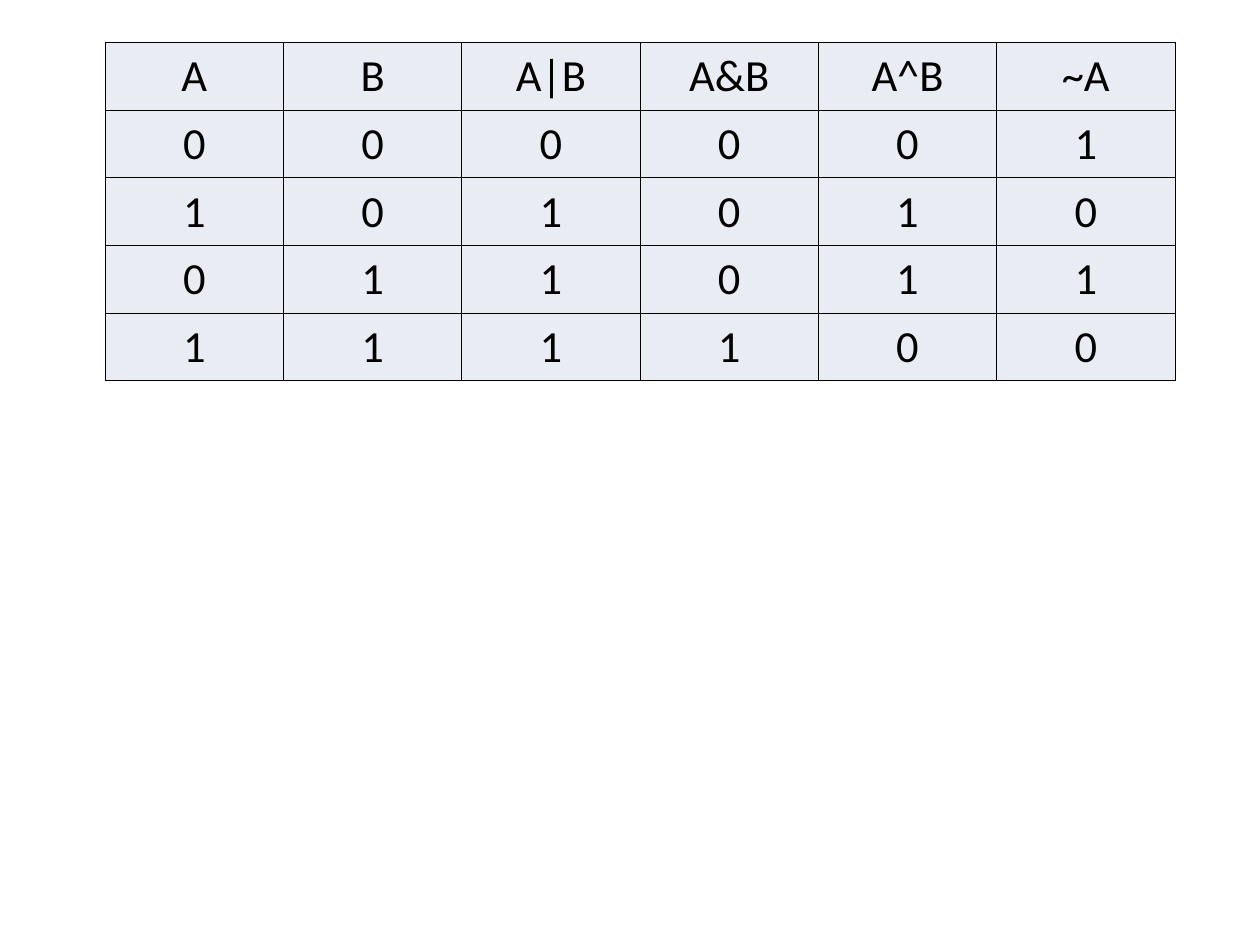
from dataclasses import dataclass

from lxml.etree import SubElement as Sub
from pptx import Presentation
from pptx.dml.color import RGBColor as RGB
from pptx.enum.text import MSO_ANCHOR as Anchor, PP_ALIGN as Align
from pptx.oxml.ns import qn
from pptx.util import Cm, Inches, Pt


@dataclass(frozen=True)
class Theme:
    font: str = "Calibri"
    size: float = 28
    ink: str = "000000"
    fill: str = "E9ECF3"
    line: float = 0.45


THEME = Theme()

ROWS = [
    ["A", "B", "A|B", "A&B", "A^B", "~A"],
    ["0", "0", "0", "0", "0", "1"],
    ["1", "0", "1", "0", "1", "0"],
    ["0", "1", "1", "0", "1", "1"],
    ["1", "1", "1", "1", "0", "0"],
]


def add_edges(cell):
    props = cell._tc.get_or_add_tcPr()
    for side in ("lnL", "lnR", "lnT", "lnB"):
        edge = Sub(props, qn(f"a:{side}"), w=str(int(Pt(THEME.line))))
        solid = Sub(edge, qn("a:solidFill"))
        Sub(solid, qn("a:srgbClr"), val=THEME.ink)


def style_cell(cell, text):
    # Borders go before the fill in the cell's XML
    add_edges(cell)
    cell.fill.solid()
    cell.fill.fore_color.rgb = RGB.from_string(THEME.fill)
    cell.vertical_anchor = Anchor.MIDDLE
    cell.margin_left = cell.margin_right = Inches(0.07)
    cell.margin_top = cell.margin_bottom = Inches(0.05)

    # Centred label
    para = cell.text_frame.paragraphs[0]
    para.alignment = Align.CENTER
    para.line_spacing = 0.97
    run = para.add_run()
    run.text = text
    run.font.name = THEME.font
    run.font.size = Pt(THEME.size)
    run.font.color.rgb = RGB.from_string(THEME.ink)


def truth_table(slide, left, top, width, height):
    box = [Inches(n) for n in (left, top, width, height)]
    table = slide.shapes.add_table(len(ROWS), len(ROWS[0]), *box).table
    table.first_row = table.horz_banding = False

    # Equal columns and rows
    for col in table.columns:
        col.width = Inches(width / len(ROWS[0]))
    for row, texts in zip(table.rows, ROWS):
        row.height = Inches(height / len(ROWS))
        for cell, text in zip(row.cells, texts):
            style_cell(cell, text)


def main():
    deck = Presentation()
    # The page is metric: 28 by 21 cm
    deck.slide_width, deck.slide_height = Cm(28), Cm(21)
    slide = deck.slides.add_slide(deck.slide_layouts[6])
    truth_table(slide, 0.92, 0.37, 9.36, 2.96)
    deck.save("out.pptx")


if __name__ == "__main__":
    main()
